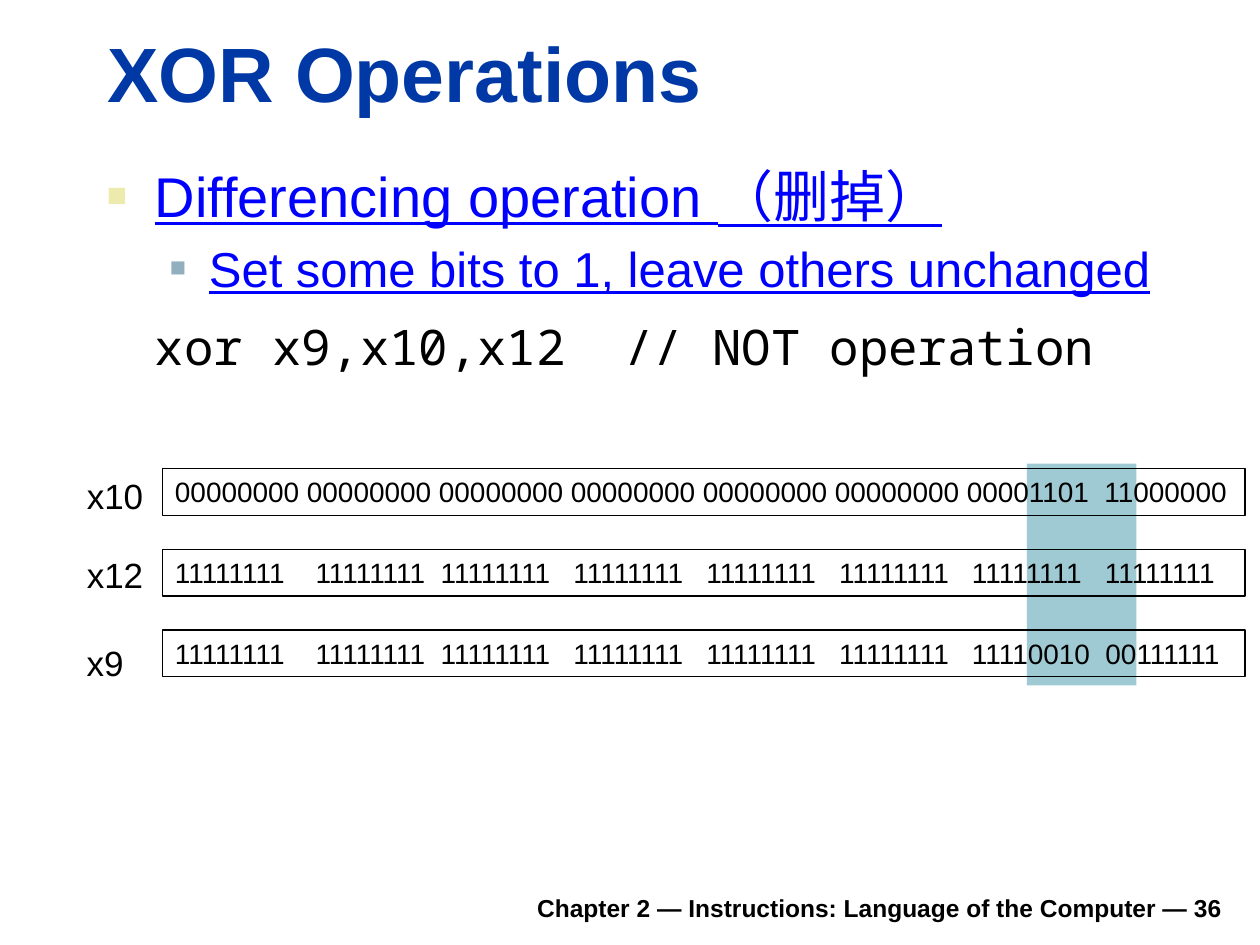
from dataclasses import dataclass

from lxml import etree
from pptx import Presentation
from pptx.dml.color import RGBColor
from pptx.enum.shapes import MSO_SHAPE
from pptx.enum.text import MSO_ANCHOR, PP_ALIGN
from pptx.oxml.ns import qn
from pptx.util import Inches, Pt

RECTANGLE = MSO_SHAPE.RECTANGLE
TOP, BOTTOM = MSO_ANCHOR.TOP, MSO_ANCHOR.BOTTOM
LEFT, RIGHT = PP_ALIGN.LEFT, PP_ALIGN.RIGHT

BLACK = RGBColor(0x00, 0x00, 0x00)
TITLE_BLUE = RGBColor(0x00, 0x39, 0xA6)
LINK_BLUE = RGBColor(0x00, 0x00, 0xFF)
HIGHLIGHT = RGBColor(0x9F, 0xCA, 0xD3)
PALE_YELLOW = RGBColor(0xEC, 0xEA, 0xAC)
GREY_BLUE = RGBColor(0x91, 0xAF, 0xBF)

FIRST_ROW_TOP = 3.72
ROW_PITCH = 0.64


@dataclass
class BodyLine:
    text: str
    size: int
    margin: float
    indent: float
    space_before: float
    space_after: float = 0
    level: int = 0
    font: str = "Arial"
    color: RGBColor = LINK_BLUE
    underline: bool = True
    bullet_color: RGBColor | None = None
    bullet_percent: int = 100


@dataclass
class Register:
    name: str
    bits: str
    label_top: float
    label_width: float


BODY_LINES = [
    BodyLine("Differencing operation （删掉）", 32, 0.38, -0.38, 6.4,
             bullet_color=PALE_YELLOW, bullet_percent=60),
    BodyLine("Set some bits to 1, leave others unchanged", 28, 0.81, -0.31, 5.6,
             level=1, bullet_color=GREY_BLUE, bullet_percent=55),
    BodyLine("xor x9,x10,x12  // NOT operation", 28, 0.38, 0, 11, 8.4,
             font="Noto Sans Mono", color=BLACK, underline=False),
]

REGISTERS = [
    Register("x10", "00000000 00000000 00000000 00000000 00000000 00000000 00001101  11000000",
             3.72, 0.65),
    Register("x12", "11111111    11111111  11111111   11111111   11111111   11111111   11111111   11111111",
             4.34, 0.65),
    Register("x9", "11111111    11111111  11111111   11111111   11111111   11111111   11110010  00111111",
             5.04, 0.5),
]


def add_text(paragraph, text: str, size: float, color: RGBColor = BLACK,
             bold: bool = False, name: str = "Arial", underline: bool = False) -> None:
    run = paragraph.add_run()
    run.text = text
    font = run.font
    font.name, font.size, font.bold = name, Pt(size), bold
    font.underline = underline
    font.color.rgb = color


def add_text_box(slide, left: float, top: float, width: float, height: float, wrap: bool = True):
    shape = slide.shapes.add_textbox(Inches(left), Inches(top), Inches(width), Inches(height))
    shape.text_frame.word_wrap = wrap
    return shape.text_frame


def add_rectangle(slide, left: float, top: float, width: float, height: float):
    shape = slide.shapes.add_shape(
        RECTANGLE, Inches(left), Inches(top), Inches(width), Inches(height))
    shape.shadow.inherit = False
    return shape


def format_bullet(paragraph, line: BodyLine) -> None:
    properties = paragraph._p.get_or_add_pPr()
    properties.set("marL", str(Inches(line.margin)))
    properties.set("indent", str(Inches(line.indent)))
    if line.bullet_color is None:
        etree.SubElement(properties, qn("a:buNone"))
        return
    color = etree.SubElement(properties, qn("a:buClr"))
    etree.SubElement(color, qn("a:srgbClr"), val=str(line.bullet_color))
    etree.SubElement(properties, qn("a:buSzPct"), val=str(line.bullet_percent * 1000))
    etree.SubElement(properties, qn("a:buFont"), typeface="Arial")
    etree.SubElement(properties, qn("a:buChar"), char="■")


def add_title(slide) -> None:
    title = slide.shapes.title
    title.left, title.top = Inches(0.75), Inches(0.16)
    title.width, title.height = Inches(9.03), Inches(0.83)
    title.text_frame.vertical_anchor = BOTTOM
    paragraph = title.text_frame.paragraphs[0]
    paragraph.alignment = LEFT
    add_text(paragraph, "XOR Operations", 44, TITLE_BLUE, bold=True)


def add_body(slide) -> None:
    frame = add_text_box(slide, 0.75, 1.23, 9.05, 2.27)
    for index, line in enumerate(BODY_LINES):
        paragraph = frame.add_paragraph() if index else frame.paragraphs[0]
        paragraph.level = line.level
        paragraph.space_before = Pt(line.space_before)
        paragraph.space_after = Pt(line.space_after)
        format_bullet(paragraph, line)
        add_text(paragraph, line.text, line.size, line.color,
                 name=line.font, underline=line.underline)


def add_register(slide, register: Register, top: float) -> None:
    box = add_rectangle(slide, 1.29, top, 8.59, 0.37)
    box.fill.background()
    box.line.color.rgb = BLACK
    box.line.width = Pt(0.75)
    frame = box.text_frame
    frame.word_wrap = True
    frame.vertical_anchor = TOP
    frame.paragraphs[0].alignment = LEFT
    add_text(frame.paragraphs[0], register.bits, 16)
    label = add_text_box(slide, 0.59, register.label_top, register.label_width, 0.44, wrap=False)
    add_text(label.paragraphs[0], register.name, 20)


def add_footer(slide) -> None:
    frame = add_text_box(slide, 1.85, 6.98, 7.95, 0.39)
    frame.vertical_anchor = BOTTOM
    frame.paragraphs[0].alignment = RIGHT
    add_text(frame.paragraphs[0],
             "Chapter 2 — Instructions: Language of the Computer — 36", 14, bold=True)


def main() -> None:
    presentation = Presentation()
    presentation.slide_width, presentation.slide_height = Inches(10), Inches(7.5)
    slide = presentation.slides.add_slide(presentation.slide_layouts[5])
    add_footer(slide)
    highlight = add_rectangle(slide, 8.15, 3.68, 0.87, 1.76)
    highlight.fill.solid()
    highlight.fill.fore_color.rgb = HIGHLIGHT
    highlight.line.fill.background()
    add_title(slide)
    add_body(slide)
    for index, register in enumerate(REGISTERS):
        add_register(slide, register, FIRST_ROW_TOP + index * ROW_PITCH)
    presentation.save("out.pptx")


if __name__ == "__main__":
    main()
